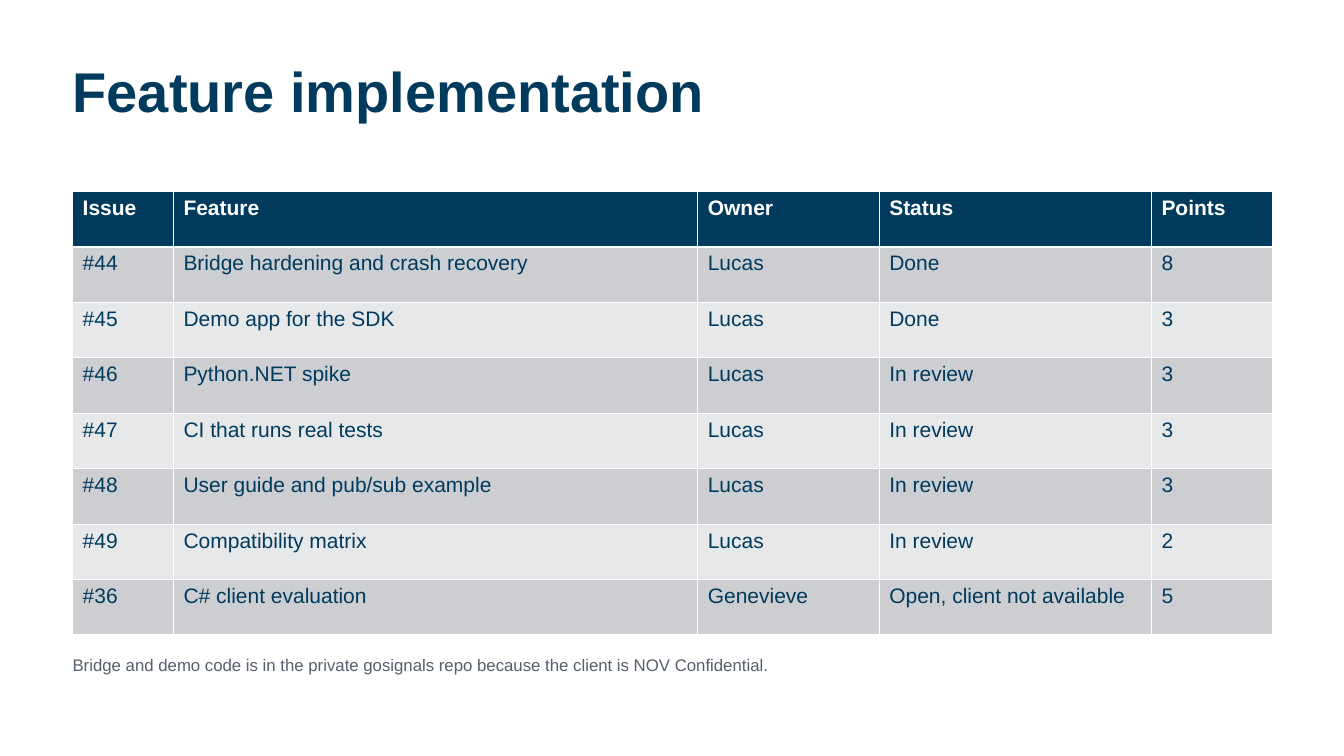
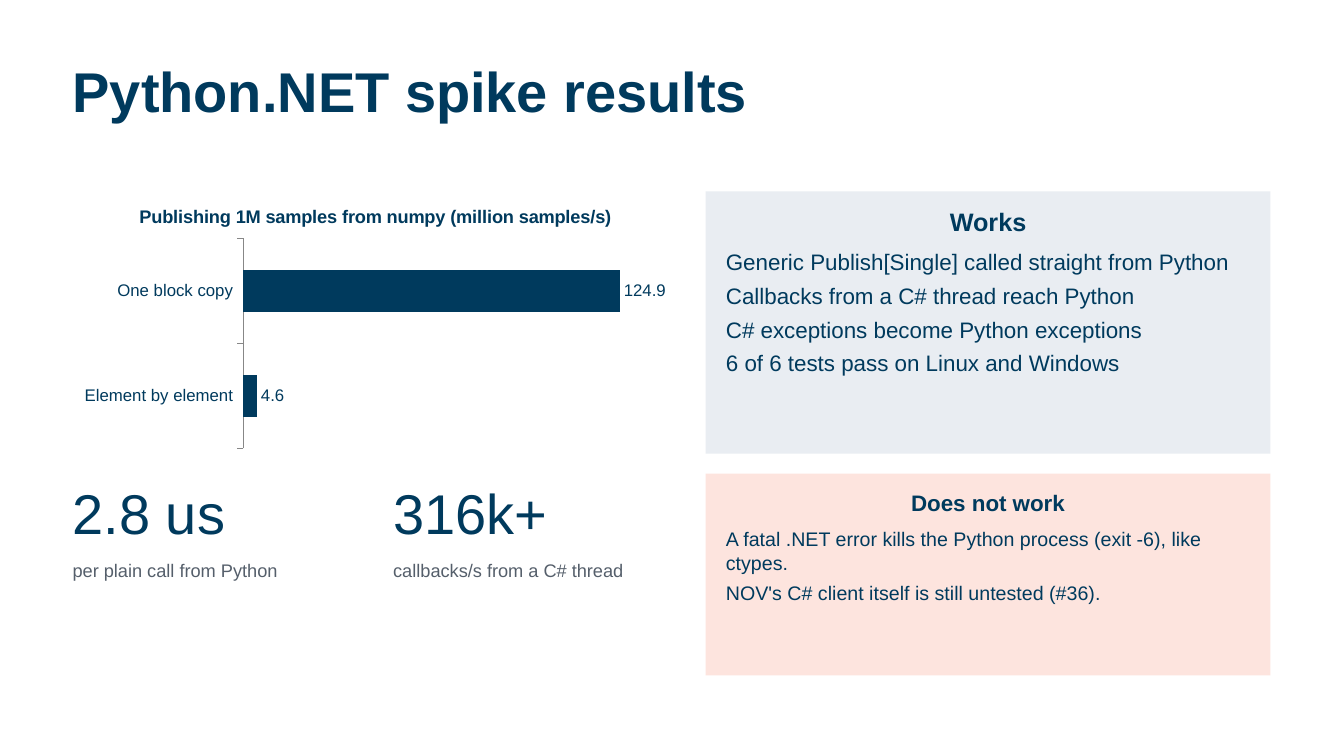
from pptx import Presentation
from pptx.chart.data import CategoryChartData
from pptx.dml.color import RGBColor
from pptx.enum.chart import XL_CHART_TYPE, XL_LABEL_POSITION, XL_TICK_MARK
from pptx.enum.shapes import MSO_SHAPE
from pptx.enum.text import MSO_ANCHOR, MSO_AUTO_SIZE, PP_ALIGN
from pptx.util import Inches, Pt

NAVY = RGBColor(0x00, 0x3A, 0x5D)
WHITE = RGBColor(0xFF, 0xFF, 0xFF)
SLATE = RGBColor(0x55, 0x5F, 0x6B)
BANDS = RGBColor(0xCC, 0xCE, 0xD2), RGBColor(0xE7, 0xE8, 0xEA)
MIST = RGBColor(0xE9, 0xED, 0xF2)
BLUSH = RGBColor(0xFD, 0xE4, 0xDE)

FACE = "Arial"
LEFT, TOP, WIDE = 0.72, 1.9, 11.9
ROW = 0.55
GAP = 0.2

COLS = {"Issue": 1, "Feature": 5.2, "Owner": 1.8, "Status": 2.7, "Points": 1.2}
ISSUES = [
    ("#44", "Bridge hardening and crash recovery", "Lucas", "Done", "8"),
    ("#45", "Demo app for the SDK", "Lucas", "Done", "3"),
    ("#46", "Python.NET spike", "Lucas", "In review", "3"),
    ("#47", "CI that runs real tests", "Lucas", "In review", "3"),
    ("#48", "User guide and pub/sub example", "Lucas", "In review", "3"),
    ("#49", "Compatibility matrix", "Lucas", "In review", "2"),
    ("#36", "C# client evaluation", "Genevieve", "Open, client not available", "5"),
]
NOTE = ("Bridge and demo code is in the private gosignals repo "
        "because the client is NOV Confidential.")
SPEEDS = {"Element by element": 4.6, "One block copy": 124.9}
STATS = [
    ("2.8 us", "per plain call from Python"),
    ("316k+", "callbacks/s from a C# thread"),
]
WORKS = [
    "Generic Publish[Single] called straight from Python",
    "Callbacks from a C# thread reach Python",
    "C# exceptions become Python exceptions",
    "6 of 6 tests pass on Linux and Windows",
]
FAILS = [
    "A fatal .NET error kills the Python process (exit -6), like ctypes.",
    "NOV's C# client itself is still untested (#36).",
]


def assign(item, values):
    for name, value in values.items():
        setattr(item, name, value)


def style(font, size, color=NAVY, bold=False):
    assign(font, {"name": FACE, "size": Pt(size), "bold": bold})
    font.color.rgb = color


def setup(frame, left=0, top=0, right=0, low=0):
    """Wrap text from the top of its box, inside the given margins."""
    assign(frame, {
        "word_wrap": True,
        "auto_size": MSO_AUTO_SIZE.NONE,
        "vertical_anchor": MSO_ANCHOR.TOP,
        "margin_left": Inches(left),
        "margin_top": Inches(top),
        "margin_right": Inches(right),
        "margin_bottom": Inches(low),
    })


def fill(item, color):
    item.fill.solid()
    item.fill.fore_color.rgb = color


def add_slide(deck, text):
    slide = deck.slides.add_slide(deck.slide_layouts[5])
    title = slide.shapes.title
    assign(title, {"left": Inches(LEFT), "top": Inches(0.64),
                   "width": Inches(11.89), "height": Inches(1.21)})
    setup(title.text_frame)
    title.text_frame.text = text
    para = title.text_frame.paragraphs[0]
    assign(para, {"alignment": PP_ALIGN.LEFT, "line_spacing": 0.9})
    style(para.font, 40, bold=True)
    return slide


def add_text(slide, text, box, size, color=NAVY):
    frame = slide.shapes.add_textbox(*map(Inches, box)).text_frame
    setup(frame, top=0.05, low=0.05)
    frame.text = text
    para = frame.paragraphs[0]
    para.space_after = Pt(6)
    style(para.font, size, color)


def add_grid(slide, x, y):
    rows = [tuple(COLS), *ISSUES]
    table = slide.shapes.add_table(
        len(rows), len(COLS), Inches(x), Inches(y),
        Inches(WIDE), Inches(ROW * len(rows))).table
    for col, width in zip(table.columns, COLS.values()):
        col.width = Inches(width)
    for r, row in enumerate(rows):
        head = r == 0
        for c, text in enumerate(row):
            cell = table.cell(r, c)
            fill(cell, NAVY if head else BANDS[(r - 1) % 2])
            cell.text = text
            style(cell.text_frame.paragraphs[0].font, 15,
                  WHITE if head else NAVY, head)


def add_bars(slide, box):
    data = CategoryChartData()
    data.categories = list(SPEEDS)
    data.add_series("Series 1", list(SPEEDS.values()))
    chart = slide.shapes.add_chart(
        XL_CHART_TYPE.BAR_CLUSTERED, *map(Inches, box), data).chart
    chart.has_legend = False
    style(chart.font, 18)

    chart.has_title = True
    title = chart.chart_title
    title.include_in_layout = False
    title.text_frame.text = "Publishing 1M samples from numpy (million samples/s)"
    style(title.text_frame.paragraphs[0].runs[0].font, 13, bold=True)

    names, scale = chart.category_axis, chart.value_axis
    assign(names, {"has_major_gridlines": False,
                   "major_tick_mark": XL_TICK_MARK.OUTSIDE})
    style(names.tick_labels.font, 12)
    assign(scale, {"visible": False, "has_major_gridlines": False,
                   "minimum_scale": 0})

    plot = chart.plots[0]
    assign(plot, {"vary_by_categories": False, "gap_width": 150,
                  "has_data_labels": True})
    fill(plot.series[0].format, NAVY)
    labels = plot.data_labels
    assign(labels, {"show_value": True,
                    "position": XL_LABEL_POSITION.OUTSIDE_END})
    style(labels.font, 12)


def add_stat(slide, x, y, value, label):
    add_text(slide, value, (x, y, 2.8, 0.8), 40)
    add_text(slide, label, (x, y + 0.8, 2.8, 0.7), 13, SLATE)


def add_panel(slide, box, color, head, lines, size):
    """Place a filled box with a centred heading two points above its text size."""
    panel = slide.shapes.add_shape(MSO_SHAPE.RECTANGLE, *map(Inches, box))
    panel.shadow.inherit = False
    fill(panel, color)
    panel.line.fill.background()
    frame = panel.text_frame
    setup(frame, 0.2, 0.15, 0.2, 0.05)
    frame.text = "\n".join([head, *lines])
    for i, para in enumerate(frame.paragraphs):
        top = i == 0
        assign(para, {"alignment": PP_ALIGN.CENTER if top else PP_ALIGN.LEFT,
                      "space_after": Pt(8 if top else 5)})
        style(para.font, size + 2 if top else size, bold=top)


def add_features(deck):
    slide = add_slide(deck, "Feature implementation")
    add_grid(slide, LEFT, TOP)
    add_text(slide, NOTE, (LEFT, 6.45, WIDE, 0.5), 12, SLATE)


def add_results(deck):
    slide = add_slide(deck, "Python.NET spike results")
    tall = 2.6
    low = TOP + tall + GAP
    add_bars(slide, (LEFT, TOP, 6, tall))
    for i, (value, label) in enumerate(STATS):
        add_stat(slide, LEFT + 3.18 * i, low, value, label)
    add_panel(slide, (7, TOP, 5.6, tall), MIST, "Works", WORKS, 16)
    add_panel(slide, (7, low, 5.6, 2), BLUSH, "Does not work", FAILS, 14)


def main():
    deck = Presentation()
    assign(deck, {"slide_width": Inches(13.33), "slide_height": Inches(7.5)})
    add_features(deck)
    add_results(deck)
    deck.save("out.pptx")


if __name__ == "__main__":
    main()
